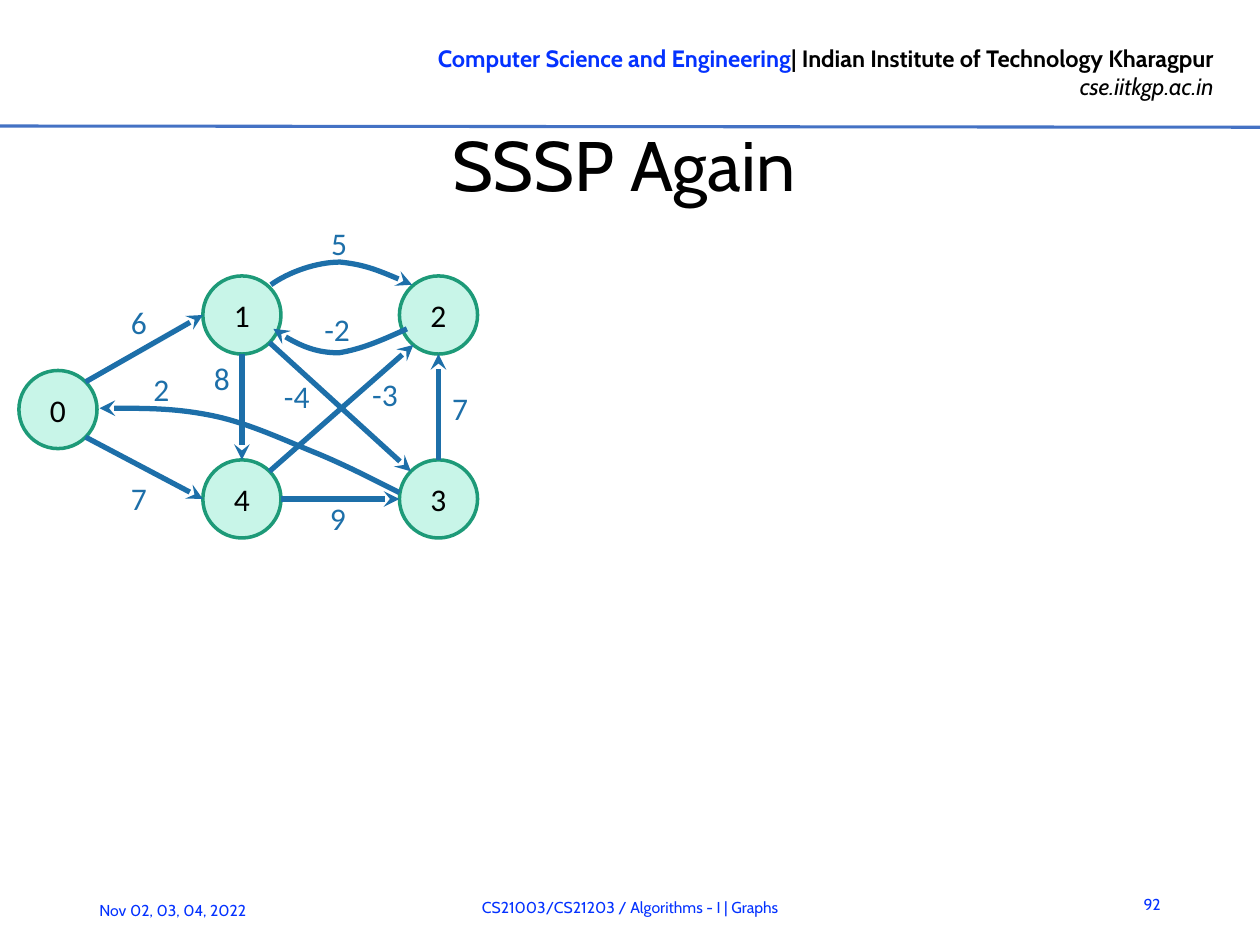
import math
from dataclasses import dataclass

from lxml import etree
from pptx import Presentation
from pptx import util as u
from pptx.dml.color import RGBColor
from pptx.enum import shapes, text
from pptx.oxml.ns import qn


@dataclass(frozen=True)
class Theme:
    heading_font: str = "Cabin"
    graph_font: str = "Calibri"
    ink: str = "000000"
    accent: str = "0432FF"
    rule: str = "4472C4"
    edge: str = "1D6FA9"
    node_fill: str = "C8F5E8"
    node_line: str = "1D9A78"
    title_size: float = 40
    header_size: float = 13.5
    footer_size: float = 9
    graph_size: float = 18


@dataclass(frozen=True)
class Node:
    name: str
    x: float
    y: float

    def site(self, degrees: float) -> tuple[float, float]:
        """Point on the rim, counted counter-clockwise from the right."""
        angle = math.radians(degrees)
        return self.x + RADIUS * math.cos(angle), self.y - RADIUS * math.sin(angle)


@dataclass(frozen=True)
class Edge:
    source: str
    leaves: float
    target: str
    enters: float


@dataclass(frozen=True)
class Weight:
    value: str
    x: float
    y: float


THEME = Theme()
WIDTH, HEIGHT = 10, 7.5
RADIUS = 0.31

# Graph grid: three columns, three rows, in inches
LEFT, MIDDLE, RIGHT = 0.46, 1.92, 3.48
TOP, CENTRE, BOTTOM = 2.5, 3.25, 3.96

NODES = {node.name: node for node in (
    Node("0", LEFT, CENTRE), Node("1", MIDDLE, TOP), Node("2", RIGHT, TOP),
    Node("3", RIGHT, BOTTOM), Node("4", MIDDLE, BOTTOM))}
EDGES = (
    Edge("0", 45, "1", 180), Edge("0", 315, "4", 180), Edge("1", 270, "4", 90),
    Edge("4", 0, "3", 180), Edge("3", 90, "2", 270), Edge("4", 45, "2", 230),
    Edge("1", 315, "3", 135))
# Each curve is a start point followed by triples of Bézier points
CURVES = (
    ((3.17, 3.91), (2.97, 3.81), (2.76, 3.7), (2.52, 3.6), (2.27, 3.5), (1.98, 3.36),
     (1.69, 3.3), (1.4, 3.24), (1.1, 3.24), (0.79, 3.24)),
    ((2.15, 2.26), (2.29, 2.16), (2.51, 2.08), (2.7, 2.08),
     (2.89, 2.1), (3.04, 2.16), (3.27, 2.26)),
    ((3.23, 2.61), (3.01, 2.71), (2.87, 2.77), (2.69, 2.8),
     (2.51, 2.8), (2.3, 2.71), (2.17, 2.61)))
WEIGHTS = (
    Weight("6", 1.11, 2.56), Weight("7", 1.11, 3.95), Weight("8", 1.77, 3),
    Weight("2", 1.29, 3.09), Weight("5", 2.7, 1.93), Weight("-2", 2.72, 2.61),
    Weight("9", 2.69, 4.11), Weight("7", 3.66, 3.24), Weight("-3", 3.1, 3.13),
    Weight("-4", 2.4, 3.14))


def write(paragraph, words: str, *, size: float, font: str = THEME.heading_font,
          color: str = THEME.ink, bold: bool = False, italic: bool = False,
          align=text.PP_ALIGN.LEFT) -> None:
    paragraph.alignment = align
    run = paragraph.add_run()
    run.text = words
    run.font.size, run.font.name = u.Pt(size), font
    run.font.bold, run.font.italic = bold, italic
    run.font.color.rgb = RGBColor.from_string(color)


def add_frame(slide, left: float, top: float, width: float, height: float,
              anchor=text.MSO_ANCHOR.TOP):
    box = slide.shapes.add_textbox(*map(u.Inches, (left, top, width, height)))
    frame = box.text_frame
    frame.word_wrap, frame.vertical_anchor = True, anchor
    return frame


def style_line(shape, color: str, width: float, arrow: bool = False) -> None:
    shape.line.color.rgb = RGBColor.from_string(color)
    shape.line.width = u.Pt(width)
    if arrow:
        etree.SubElement(shape.line._get_or_add_ln(), qn("a:tailEnd"), type="stealth")


def draw_line(slide, start: tuple[float, float], end: tuple[float, float],
              color: str, width: float, arrow: bool = False) -> None:
    line = slide.shapes.add_connector(shapes.MSO_CONNECTOR.STRAIGHT,
                                      *map(u.Inches, (*start, *end)))
    style_line(line, color, width, arrow)
    etree.SubElement(line._element.spPr, qn("a:effectLst"))


def draw_curve(slide, points: tuple[tuple[float, float], ...]) -> None:
    start, *rest = [(u.Inches(x), u.Inches(y)) for x, y in points]
    builder = slide.shapes.build_freeform(*start)
    builder.add_line_segments(rest, close=False)
    curve = builder.convert_to_shape()
    curve.fill.background()
    curve.shadow.inherit = False
    style_line(curve, THEME.edge, 3, arrow=True)
    # Gather every three straight segments into one Bézier segment
    outline = curve._element.find(".//" + qn("a:path"))
    segments = outline.findall(qn("a:lnTo"))
    for first in range(0, len(segments), 3):
        bezier = etree.SubElement(outline, qn("a:cubicBezTo"))
        for segment in segments[first:first + 3]:
            bezier.append(segment[0])
            outline.remove(segment)


def draw_node(slide, node: Node) -> None:
    circle = slide.shapes.add_shape(shapes.MSO_SHAPE.OVAL, *map(u.Inches, (
        node.x - RADIUS, node.y - RADIUS, 2 * RADIUS, 2 * RADIUS)))
    circle.shadow.inherit = False
    circle.fill.solid()
    circle.fill.fore_color.rgb = RGBColor.from_string(THEME.node_fill)
    style_line(circle, THEME.node_line, 2)
    circle.text_frame.vertical_anchor = text.MSO_ANCHOR.MIDDLE
    write(circle.text_frame.paragraphs[0], node.name, size=THEME.graph_size,
          font=THEME.graph_font, align=text.PP_ALIGN.CENTER)


def draw_weight(slide, weight: Weight) -> None:
    width, height = (0.49 if len(weight.value) > 1 else 0.34), 0.4
    frame = add_frame(slide, weight.x - width / 2, weight.y - height / 2, width, height)
    write(frame.paragraphs[0], weight.value, size=THEME.graph_size,
          font=THEME.graph_font, color=THEME.edge)


def draw_header(slide) -> None:
    frame = add_frame(slide, 2.65, 0.3, 7.08, 0.56)
    school, site = frame.paragraphs[0], frame.add_paragraph()
    style = dict(size=THEME.header_size, align=text.PP_ALIGN.RIGHT)
    write(school, "Computer Science and Engineering", color=THEME.accent, bold=True, **style)
    write(school, "| Indian Institute of Technology Kharagpur", bold=True, **style)
    write(site, "cse.iitkgp.ac.in", italic=True, **style)
    draw_line(slide, (0, 1), (WIDTH, 1.01), THEME.rule, 1.75)


def draw_title(slide) -> None:
    title = slide.shapes.title
    title.left, title.top, title.width, title.height = map(u.Inches, (0.32, 0.95, 9.26, 0.68))
    frame = title.text_frame
    frame.margin_left = frame.margin_right = frame.margin_bottom = 0
    frame.margin_top = u.Inches(0.01)
    frame.vertical_anchor = text.MSO_ANCHOR.MIDDLE
    frame.auto_size = text.MSO_AUTO_SIZE.NONE
    frame.paragraphs[0].space_before = u.Pt(0.7)
    write(frame.paragraphs[0], "SSSP Again", size=THEME.title_size,
          align=text.PP_ALIGN.CENTER)


def draw_footer(slide) -> None:
    align, anchor = text.PP_ALIGN, text.MSO_ANCHOR
    for words, left, top, width, side, hold in (
            ("Nov 02, 03, 04, 2022", 0.69, 7.1, 1.75, align.LEFT, anchor.TOP),
            ("CS21003/CS21203 / Algorithms - I | Graphs", 1.65, 7, 6.7,
             align.CENTER, anchor.MIDDLE),
            ("92", 8.82, 6.98, 0.49, align.RIGHT, anchor.MIDDLE)):
        frame = add_frame(slide, left, top, width, 0.4, hold)
        write(frame.paragraphs[0], words, size=THEME.footer_size,
              color=THEME.accent, align=side)


def main() -> None:
    deck = Presentation()
    deck.slide_width, deck.slide_height = u.Inches(WIDTH), u.Inches(HEIGHT)
    slide = deck.slides.add_slide(deck.slide_layouts[5])
    draw_header(slide)
    draw_title(slide)
    draw_footer(slide)
    # Weighted directed graph
    for node in NODES.values():
        draw_node(slide, node)
    for edge in EDGES:
        draw_line(slide, NODES[edge.source].site(edge.leaves),
                  NODES[edge.target].site(edge.enters), THEME.edge, 3, arrow=True)
    for curve in CURVES:
        draw_curve(slide, curve)
    for weight in WEIGHTS:
        draw_weight(slide, weight)
    deck.save("out.pptx")


if __name__ == "__main__":
    main()
